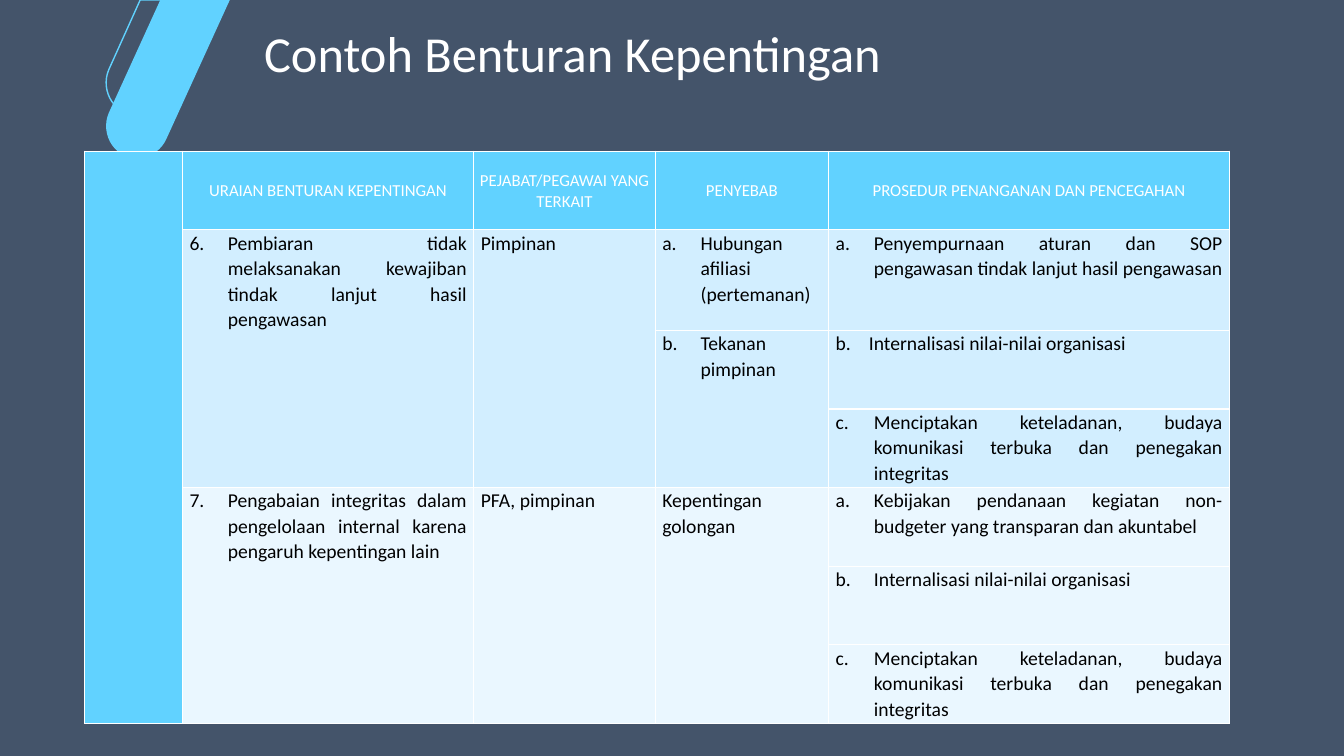
"""Build the slide "Contoh Benturan Kepentingan" with its table of conflict cases."""
from itertools import product

from lxml import etree
from pptx import Presentation
from pptx import util as u
from pptx.dml.color import RGBColor
from pptx.enum import text
from pptx.oxml import ns

COLOURS = {"page": "44546A", "accent": "61D2FF", "white": "FFFFFF", "black": "000000",
           "case_six": "D2EEFF", "case_seven": "EAF7FF"}
COLUMNS = [7.28, 21.68, 13.5, 12.9, 29.85]
ROWS = [10.4, 13.3] + [10.4] * 5
HEADERS = ["URAIAN BENTURAN KEPENTINGAN", "PEJABAT/PEGAWAI YANG TERKAIT", "PENYEBAB",
           "PROSEDUR PENANGANAN DAN PENCEGAHAN"]
VALUES = "Internalisasi nilai-nilai organisasi"
EXAMPLE = "Menciptakan keteladanan, budaya komunikasi terbuka dan penegakan integritas"
DIGIT, LETTER = "arabicPeriod", "alphaLcPeriod"
CASES = [
    (1, 1, "Pembiaran tidak melaksanakan kewajiban tindak lanjut hasil pengawasan", DIGIT, 6),
    (1, 2, "Pimpinan", None, 0),
    (1, 3, "Hubungan afiliasi (pertemanan)", LETTER, 1),
    (2, 3, "Tekanan pimpinan", LETTER, 2),
    (1, 4, "Penyempurnaan aturan dan SOP pengawasan tindak lanjut hasil pengawasan", LETTER, 1),
    (2, 4, VALUES, LETTER, 2),
    (3, 4, EXAMPLE, LETTER, 3),
    (4, 1, "Pengabaian integritas dalam pengelolaan internal karena pengaruh kepentingan lain",
     DIGIT, 7),
    (4, 2, "PFA, pimpinan", None, 0),
    (4, 3, "Kepentingan golongan", None, 0),
    (4, 4, "Kebijakan pendanaan kegiatan non-budgeter yang transparan dan akuntabel", LETTER, 1),
    (5, 4, VALUES, LETTER, 2),
    (6, 4, EXAMPLE, LETTER, 3),
]
MERGES = [(0, 0, 6), (1, 1, 3), (1, 2, 3), (2, 3, 3), (4, 1, 6), (4, 2, 6), (4, 3, 6)]
CAP = [[(12.38, 18.4), (11.85, 20.53), (10.43, 21.47), (9.23, 20.53)],
       [(9.23, 20.53), (8.1, 19.6), (7.58, 17.07), (8.1, 14.93)]]


def colour(name):
    return RGBColor.from_string(COLOURS[name])


def curve(points, steps=12):
    for step in range(steps + 1):
        t = step / steps
        weights = ((1 - t) ** 3, 3 * t * (1 - t) ** 2, 3 * t * t * (1 - t), t ** 3)
        yield tuple(sum(w * p[axis] for w, p in zip(weights, points)) for axis in (0, 1))


class Page:
    """Hold the style and the slide; lengths are percent of its width and height."""

    font = "Calibri"

    def __init__(self, deck):
        self.deck = deck
        self.slide = deck.slides.add_slide(deck.slide_layouts[5])
        self.slide.background.fill.solid()
        self.slide.background.fill.fore_color.rgb = colour("page")

    def across(self, share):
        return round(self.deck.slide_width * share / 100)

    def down(self, share):
        return round(self.deck.slide_height * share / 100)

    def set_text(self, para, words, size, ink, align):
        para.text = words
        para.alignment = align
        para.font.name, para.font.size = self.font, u.Pt(size)
        para.font.color.rgb = colour(ink)

    def title(self, words, left, top, width, height):
        box = self.slide.shapes.title
        box.left, box.top = self.across(left), self.down(top)
        box.width, box.height = self.across(width), self.down(height)
        box.text_frame.auto_size = text.MSO_AUTO_SIZE.NONE
        box.text_frame.vertical_anchor = text.MSO_ANCHOR.MIDDLE
        self.set_text(box.text_frame.paragraphs[0], words, 36, "white", text.PP_ALIGN.LEFT)

    def slanted_bar(self, left, right, rise, filled):
        rounded = [(x, y - rise) for part in CAP for x, y in curve(part)]
        points = [(self.across(x), self.down(y)) for x, y in [(right, 0)] + rounded]
        builder = self.slide.shapes.build_freeform(self.across(left), 0)
        builder.add_line_segments(points, close=True)
        bar = builder.convert_to_shape()
        bar.shadow.inherit = False
        if filled:
            bar.fill.solid()
            bar.fill.fore_color.rgb = colour("accent")
            bar.line.fill.background()
        else:
            bar.fill.background()
            bar.line.color.rgb = colour("accent")
            bar.line.width = u.Pt(1)

    def table(self, left, top):
        frame = self.slide.shapes.add_table(
            len(ROWS), len(COLUMNS), self.across(left), self.down(top),
            self.across(sum(COLUMNS)), self.down(sum(ROWS)))
        grid = frame.table
        grid.first_row = grid.horz_banding = False
        for column, share in zip(grid.columns, COLUMNS):
            column.width = self.across(share)
        for row, share in zip(grid.rows, ROWS):
            row.height = self.down(share)
        for row, column in product(range(len(ROWS)), range(len(COLUMNS))):
            tint = "accent" if 0 in (row, column) else "case_six" if row < 4 else "case_seven"
            self.paint(grid.cell(row, column), tint)
        for row, column, last in MERGES:
            grid.cell(row, column).merge(grid.cell(last, column))
        return grid

    def paint(self, cell, tint):
        properties = cell._tc.get_or_add_tcPr()
        for side in ("a:lnL", "a:lnR", "a:lnT", "a:lnB"):
            edge = etree.SubElement(properties, ns.qn(side), w=str(u.Pt(1)))
            solid = etree.SubElement(edge, ns.qn("a:solidFill"))
            etree.SubElement(solid, ns.qn("a:srgbClr"), val=COLOURS["white"])
        cell.fill.solid()
        cell.fill.fore_color.rgb = colour(tint)

    def cell_text(self, cell, words, size, ink, align, inset):
        cell.margin_left = cell.margin_right = u.Inches(inset)
        cell.margin_top = cell.margin_bottom = 0
        para = cell.text_frame.paragraphs[0]
        para.line_spacing = 1.07
        self.set_text(para, words, size, ink, align)
        return para

    def header(self, cell, words):
        self.cell_text(cell, words, 12, "white", text.PP_ALIGN.CENTER, 0.04)
        cell.vertical_anchor = text.MSO_ANCHOR.MIDDLE

    def entry(self, cell, words, scheme, start, align, indent):
        para = self.cell_text(cell, words, 14, "black", align, 0.07)
        if scheme:
            properties = para._p.get_or_add_pPr()
            properties.set("marL", str(u.Inches(indent)))
            properties.set("indent", str(-u.Inches(indent)))
            number = etree.Element(ns.qn("a:buAutoNum"), type=scheme, startAt=str(start))
            properties.find(ns.qn("a:defRPr")).addprevious(number)


def main():
    deck = Presentation()
    deck.slide_width, deck.slide_height = u.Inches(13.33), u.Inches(7.5)
    page = Page(deck)
    page.slanted_bar(11.93, 17.1, 0, filled=True)
    page.slanted_bar(10.43, 15.68, 5.73, filled=False)
    page.title("Contoh Benturan Kepentingan", 18.9, 2.13, 69.54, 9.47)
    grid = page.table(6.3, 20)
    for column, words in enumerate(HEADERS, 1):
        page.header(grid.cell(0, column), words)
    for row, column, words, scheme, start in CASES:
        align = text.PP_ALIGN.LEFT if (row, column) == (1, 3) else text.PP_ALIGN.JUSTIFY
        indent = 0.33 if (row, column) == (2, 4) else 0.38
        page.entry(grid.cell(row, column), words, scheme, start, align, indent)
    deck.save("out.pptx")


if __name__ == "__main__":
    main()
